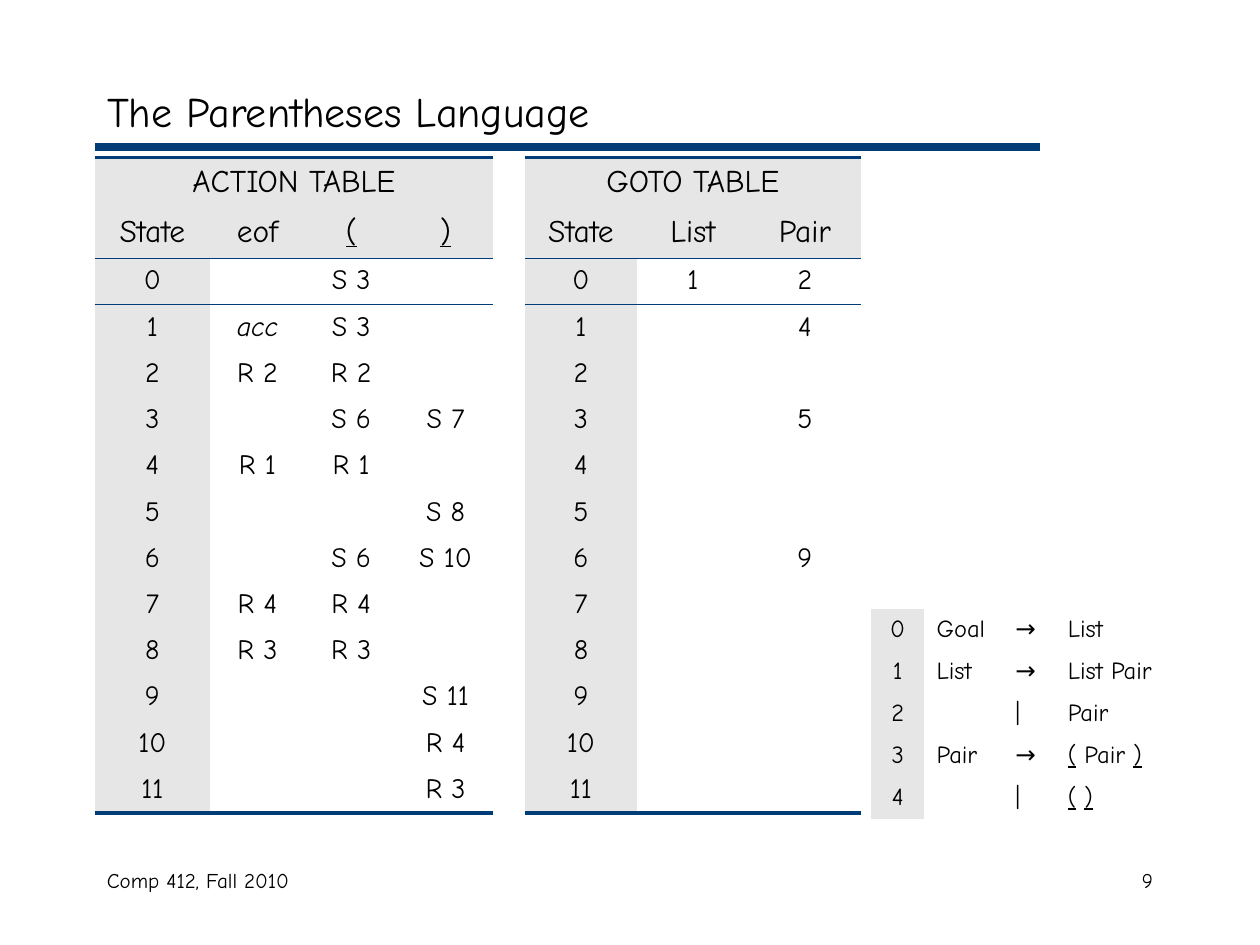
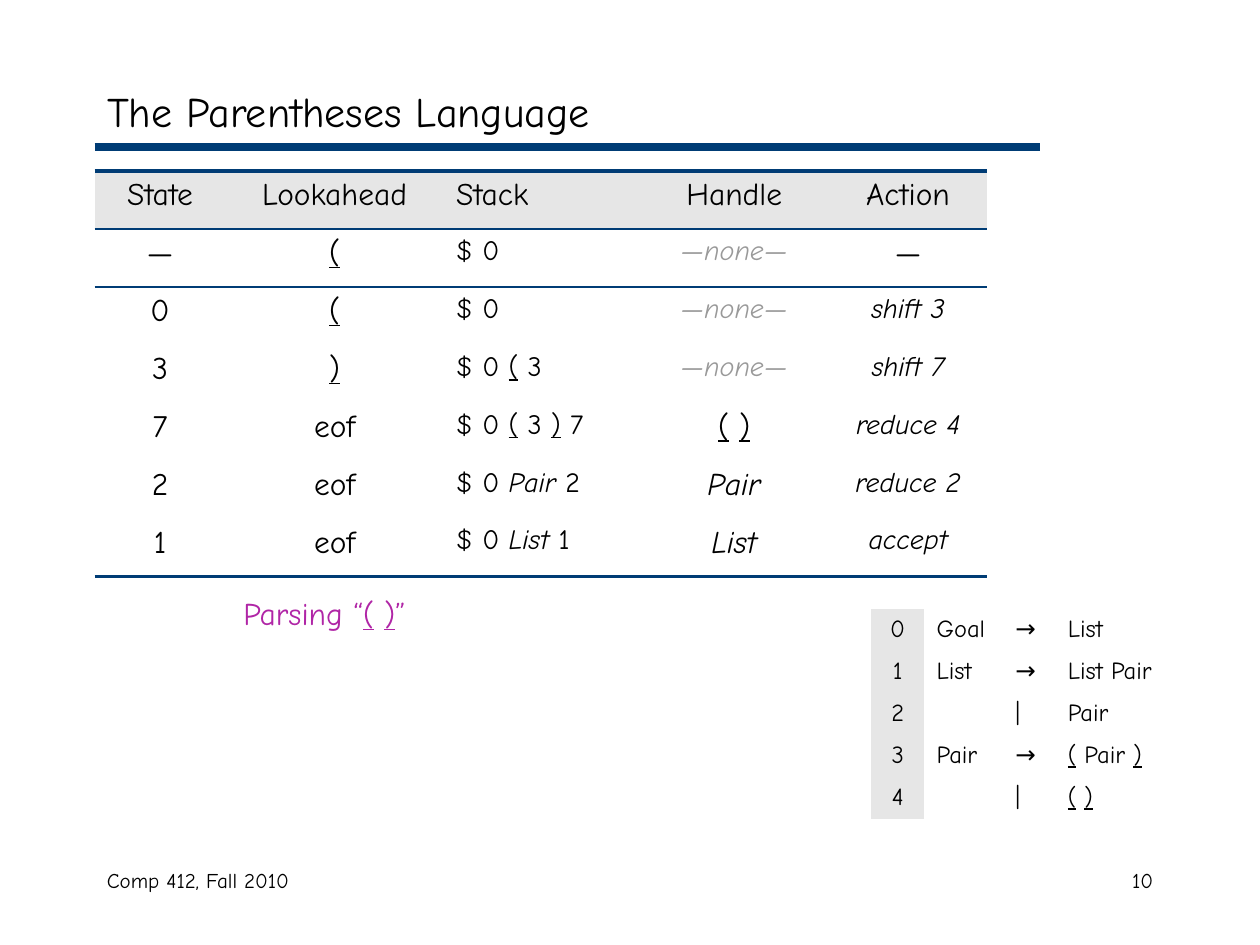
import pptx
import pptx.dml.color
import pptx.enum.shapes
import pptx.enum.text
import pptx.util
from lxml import etree

RGBColor = pptx.dml.color.RGBColor
Align = pptx.enum.text.PP_ALIGN
Anchor = pptx.enum.text.MSO_ANCHOR

NAVY = RGBColor(0x00, 0x3C, 0x75)
SHADE = RGBColor(0xE6, 0xE6, 0xE6)
WHITE = RGBColor(0xFF, 0xFF, 0xFF)
BLACK = RGBColor(0x00, 0x00, 0x00)
GRAY = RGBColor(0x99, 0x99, 0x99)
PURPLE = RGBColor(0xB0, 0x25, 0xA6)

FONT = "Comic Neue"
DRAWING = "{http://schemas.openxmlformats.org/drawingml/2006/main}"
PLAIN_TABLE = "{2D5ABB26-0587-4C30-8999-92F81FD0307C}"
GRID_UNIT = pptx.util.Inches(10) // 120
THICK, THIN = 2.25, 1

TITLE_BOX = (9, 7, 102, 7)
BAND_BOX = (9, 14, 90, 0)
FOOTER_BOX = (9, 82, 38, 6)
NUMBER_BOX = (86, 82, 25, 6)
ACTION_BOX = (9, 15, 38, 62.4)
GOTO_BOX = (50, 15, 32, 62.4)
GRAMMAR_BOX = (83, 58, 31, 20)
TRACE_BOX = (9, 16.3, 85, 38.6)
CAPTION_BOX = (22, 56, 31, 4.8)

TITLE = "The Parentheses Language"
FOOTER = "Comp 412, Fall 2010"

ACTION_ROWS = [
    ("ACTION TABLE", "", "", ""),
    ("State", "eof", "(", ")"),
    ("0", "", "S 3", ""),
    ("1", "*acc*", "S 3", ""),
    ("2", "R 2", "R 2", ""),
    ("3", "", "S 6", "S 7"),
    ("4", "R 1", "R 1", ""),
    ("5", "", "", "S 8"),
    ("6", "", "S 6", "S 10"),
    ("7", "R 4", "R 4", ""),
    ("8", "R 3", "R 3", ""),
    ("9", "", "", "S 11"),
    ("10", "", "", "R 4"),
    ("11", "", "", "R 3"),
]
GOTO_ENTRIES = {0: ("1", "2"), 1: ("", "4"), 3: ("", "5"), 6: ("", "9")}
GOTO_ROWS = [("GOTO TABLE", "", ""), ("State", "List", "Pair")] + [
    (str(state), *GOTO_ENTRIES.get(state, ("", ""))) for state in range(12)
]
GRAMMAR_ROWS = [
    ("0", "Goal", "→", "List"),
    ("1", "List", "→", "List Pair"),
    ("2", "", "|", "Pair"),
    ("3", "Pair", "→", "( Pair )"),
    ("4", "", "|", "( )"),
]
TRACE_ROWS = [
    ("State", "Lookahead", "Stack", "Handle", "Action"),
    ("—", "(", "$ 0", "*—none—*", "—"),
    ("0", "(", "$ 0", "*—none—*", "*shift 3*"),
    ("3", ")", "$ 0 ( 3", "*—none—*", "*shift 7*"),
    ("7", "eof", "$ 0 ( 3 ) 7", "( )", "*reduce 4*"),
    ("2", "eof", "$ 0 *Pair* 2", "*Pair*", "*reduce 2*"),
    ("1", "eof", "$ 0 *List* 1", "*List*", "*accept*"),
]


def to_emu(box):
    return [round(length * GRID_UNIT) for length in box]


def split_runs(text):
    for index, part in enumerate(text.split("*")):
        spaced = part.replace("(", "\n(\n").replace(")", "\n)\n")
        for piece in filter(None, spaced.split("\n")):
            yield piece, index % 2 == 1


def write(text_frame, text, size, color=BLACK, align=Align.LEFT):
    paragraph = text_frame.paragraphs[0]
    paragraph.alignment = align
    for piece, italic in split_runs(text):
        run = paragraph.add_run()
        run.text = piece
        run.font.name = FONT
        run.font.size = pptx.util.Pt(size)
        run.font.color.rgb = color
        run.font.italic = italic
        run.font.underline = piece in "()"
    if not text:
        etree.SubElement(paragraph._p, DRAWING + "endParaRPr", sz=str(size * 100))


def add_text(slide, box, text, size, color=BLACK, align=Align.LEFT):
    shape = slide.shapes.add_textbox(*to_emu(box))
    shape.text_frame.word_wrap = True
    write(shape.text_frame, text, size, color, align)


def add_border(cell, side, width):
    properties = cell._tc.get_or_add_tcPr()
    line = etree.SubElement(properties, DRAWING + side, w=str(pptx.util.Pt(width)))
    fill = etree.SubElement(line, DRAWING + "solidFill")
    etree.SubElement(fill, DRAWING + "srgbClr", val=str(NAVY))


def add_grid_table(slide, box, rows, widths, heights, cell_style, shaded, left_columns=(), header_rows=0):
    left, top, width, height = to_emu(box)
    shape = slide.shapes.add_table(len(rows), len(widths), left, top, width, height)
    table = shape.table
    table.first_row = table.horz_banding = False
    table._tbl.tblPr.find(DRAWING + "tableStyleId").text = PLAIN_TABLE
    for column, share in zip(table.columns, widths):
        column.width = round(width * share / sum(widths))
    for row, share in zip(table.rows, heights):
        row.height = round(height * share / sum(heights))
    for row_index, row in enumerate(rows):
        for column_index, text in enumerate(row):
            cell = table.cell(row_index, column_index)
            size, color = cell_style(row_index, column_index, text)
            align = Align.LEFT if column_index in left_columns else Align.CENTER
            write(cell.text_frame, text, size, color, align)
            if header_rows:
                if row_index == 0:
                    add_border(cell, "lnT", THICK)
                if row_index == header_rows:
                    add_border(cell, "lnT", THIN)
                if row_index == header_rows - 1:
                    add_border(cell, "lnB", THIN)
                if row_index == len(rows) - 1:
                    add_border(cell, "lnB", THICK)
            if shaded(row_index, column_index):
                cell.fill.solid()
                cell.fill.fore_color.rgb = SHADE
            elif header_rows:
                cell.fill.background()
            else:
                cell.fill.solid()
                cell.fill.fore_color.rgb = WHITE
    return table


def add_parse_table(slide, box, rows, widths):
    table = add_grid_table(
        slide, box, rows, widths, [0.4] * 2 + [4.4 / 12] * 12,
        cell_style=lambda row, column, text: (18 if row < 2 else 16, BLACK),
        shaded=lambda row, column: row < 2 or column == 0,
        header_rows=2,
    )
    table.cell(0, 0).merge(table.cell(0, len(widths) - 1))


def add_grammar(slide, box):
    add_grid_table(
        slide, box, GRAMMAR_ROWS, [5, 7.5, 5, 13.5], [1] * 5,
        cell_style=lambda row, column, text: (14, BLACK),
        shaded=lambda row, column: column == 0,
        left_columns=(1, 2, 3),
    )


def trace_style(row, column, text):
    if "none" in text:
        return 16, GRAY
    small = row > 0 and (column == 2 or column == 4 and text != "—")
    return 16 if small else 18, BLACK


def add_trace(slide, box):
    add_grid_table(
        slide, box, TRACE_ROWS, [1.04, 1.73, 1.55, 1.51, 1.25], [1] * 7,
        cell_style=trace_style,
        shaded=lambda row, column: row == 0,
        left_columns=(2,),
        header_rows=1,
    )


def add_base_slide(presentation, number):
    slide = presentation.slides.add_slide(presentation.slide_layouts[5])
    title = slide.shapes.title
    title.left, title.top, title.width, title.height = to_emu(TITLE_BOX)
    title.text_frame.auto_size = pptx.enum.text.MSO_AUTO_SIZE.NONE
    title.text_frame.vertical_anchor = Anchor.MIDDLE
    write(title.text_frame, TITLE, 24)
    left, top, width, height = to_emu(BAND_BOX)
    band = slide.shapes.add_connector(
        pptx.enum.shapes.MSO_CONNECTOR.STRAIGHT, left, top, left + width, top + height
    )
    band.line.color.rgb = NAVY
    band.line.width = pptx.util.Pt(4.5)
    etree.SubElement(band._element.spPr, DRAWING + "effectLst")
    add_text(slide, FOOTER_BOX, FOOTER, 12)
    add_text(slide, NUMBER_BOX, str(number), 12, align=Align.RIGHT)
    return slide


def add_tables_slide(presentation):
    slide = add_base_slide(presentation, 9)
    add_parse_table(slide, ACTION_BOX, ACTION_ROWS, [0.92, 0.75, 0.74, 0.76])
    add_parse_table(slide, GOTO_BOX, GOTO_ROWS, [1, 1, 1])
    add_grammar(slide, GRAMMAR_BOX)


def add_trace_slide(presentation):
    slide = add_base_slide(presentation, 10)
    add_grammar(slide, GRAMMAR_BOX)
    add_trace(slide, TRACE_BOX)
    add_text(slide, CAPTION_BOX, "Parsing “( )”", 18, PURPLE)


def main():
    presentation = pptx.Presentation()
    presentation.slide_width = 120 * GRID_UNIT
    presentation.slide_height = 90 * GRID_UNIT
    add_tables_slide(presentation)
    add_trace_slide(presentation)
    presentation.save("out.pptx")


if __name__ == "__main__":
    main()
